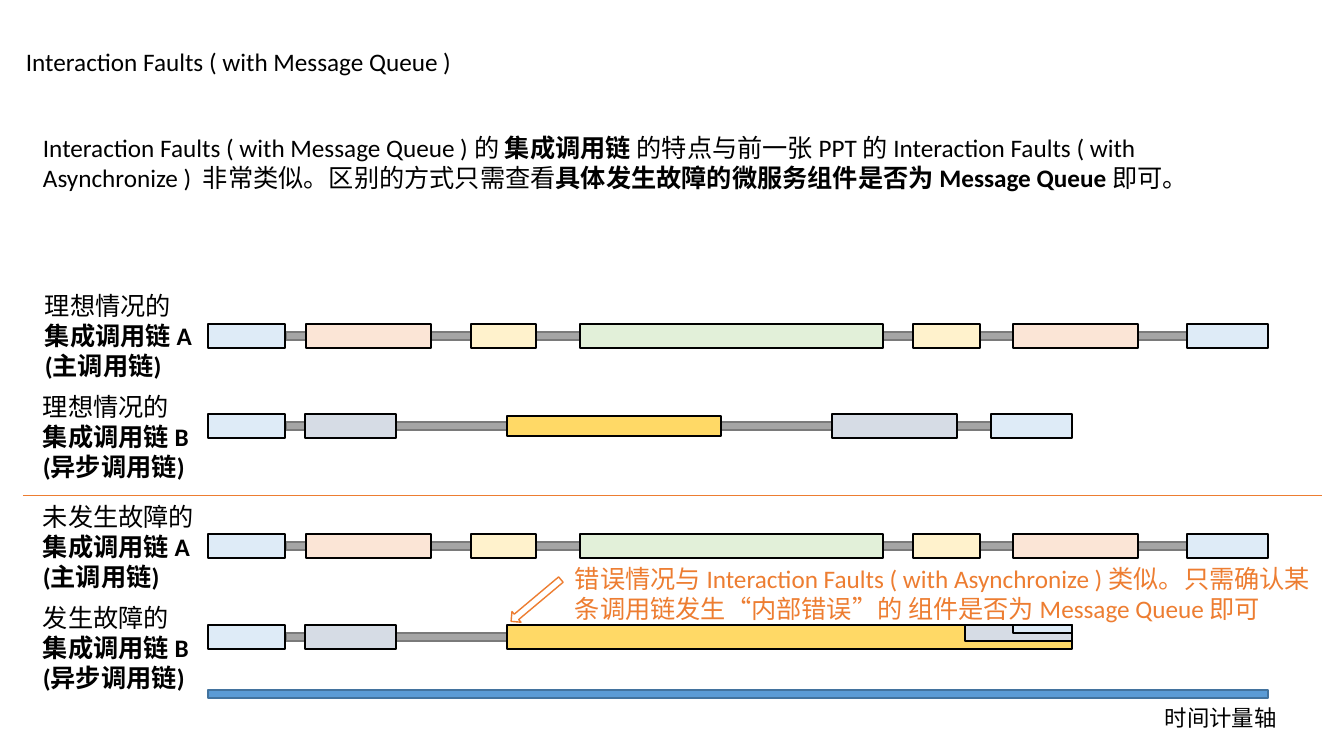
from dataclasses import dataclass

from lxml import etree
from pptx import Presentation
from pptx import util as u
from pptx.dml.color import RGBColor
from pptx.enum import shapes, text
from pptx.oxml.ns import qn

PX = 914400 / 100.8


def px(n):
    """Turn pixels into EMU."""
    return u.Emu(round(n * PX))


@dataclass(frozen=True)
class Theme:
    """Hold the colours, the font and the type sizes."""
    font: str = "Calibri"
    body: int = 18
    small: int = 16
    ink: str = "000000"
    accent: str = "ED7D31"
    axis: str = "5B9BD5"
    axis_line: str = "43739E"
    link: str = "A5A5A5"
    link_line: str = "7A7A7A"
    blue: str = "DEEBF7"
    pink: str = "FBE5D6"
    cream: str = "FFF2CC"
    green: str = "E2F0D9"
    slate: str = "D6DCE5"
    gold: str = "FFD966"


class Deck:
    """Draw styled elements on the current slide."""

    def __init__(self, prs, theme):
        """Add a blank slide and keep the theme."""
        self.theme = theme
        self.slide = prs.slides.add_slide(prs.slide_layouts[6])

    def shape(self, kind, box, fill, line, rotation=0):
        """Add an outlined preset shape, filled when a colour is given."""
        sp = self.slide.shapes.add_shape(kind, *map(px, box))
        sp.shadow.inherit = False
        sp.rotation = rotation
        if fill:
            sp.fill.solid()
            sp.fill.fore_color.rgb = RGBColor.from_string(fill)
        else:
            sp.fill.background()
        sp.line.color.rgb = RGBColor.from_string(line)
        sp.line.width = u.Pt(1)

    def bar(self, x, y, w, h, fill, line=None):
        """Add a rectangle."""
        self.shape(shapes.MSO_SHAPE.RECTANGLE, (x, y, w, h), fill, line or self.theme.ink)

    def rule(self, x1, y, x2):
        """Add a thin horizontal line."""
        line = self.slide.shapes.add_connector(
            shapes.MSO_CONNECTOR.STRAIGHT, px(x1), px(y), px(x2), px(y))
        line.line.color.rgb = RGBColor.from_string(self.theme.accent)
        line.line.width = u.Pt(0.5)
        etree.SubElement(line._element.spPr, qn("a:effectLst"))

    def text(self, box, paragraphs, size=None, color=None):
        """Add a text box from paragraphs of (words, bold) runs."""
        tf = self.slide.shapes.add_textbox(*map(px, box)).text_frame
        tf.word_wrap = True
        tf.auto_size = text.MSO_AUTO_SIZE.SHAPE_TO_FIT_TEXT
        for i, runs in enumerate(paragraphs):
            p = tf.add_paragraph() if i else tf.paragraphs[0]
            p.font.name = self.theme.font
            p.font.size = u.Pt(size or self.theme.body)
            p.font.color.rgb = RGBColor.from_string(color or self.theme.ink)
            weights = {bold for _, bold in runs}
            if len(weights) == 1:
                p.font.bold = weights.pop()
            for words, bold in runs:
                r = p.add_run()
                r.text = words
                if weights:
                    r.font.bold = bold

    def chain(self, y, link_width, blocks):
        """Add one call chain: a grey link with blocks on it."""
        self.bar(286, y + 8, link_width, 8, self.theme.link, self.theme.link_line)
        for x, dy, w, h, fill in blocks:
            self.bar(x, y + dy, w, h, fill)

    def label(self, x, y, state, name, role):
        """Add the three-line name of a call chain."""
        self.text((x, y, 174, 102),
                  [[(state, False)], [(f"集成调用链 {name}", True)], [(f"({role})", True)]])


theme = Theme()
prs = Presentation()
prs.slide_width, prs.slide_height = px(1344), px(756)
deck = Deck(prs, theme)

main_chain = [
    (208, 0, 77, 24, theme.blue), (306, 0, 125, 24, theme.pink),
    (471, 0, 65, 24, theme.cream), (580, 0, 303, 24, theme.green),
    (913, 0, 67, 24, theme.cream), (1013, 0, 125, 24, theme.pink),
    (1187, 0, 81, 24, theme.blue),
]
async_start = [(208, 0, 77, 24, theme.blue), (305, 0, 91, 24, theme.slate)]
ideal_async = async_start + [
    (832, 0, 125, 24, theme.slate), (991, 0, 81, 24, theme.blue),
    (507, 2, 214, 20, theme.gold),
]
faulty_async = async_start + [
    (507, 0, 565, 24, theme.gold), (965, 0, 107, 16, theme.slate),
    (1013, 0, 59, 8, theme.blue),
]
main, side = ("A", "主调用链"), ("B", "异步调用链")
rows = [
    (324, 903, main_chain, 35, 285, "理想情况的", main),
    (414, 705, ideal_async, 33, 386, "理想情况的", side),
    (534, 903, main_chain, 33, 496, "未发生故障的", main),
    (625, 705, faulty_async, 33, 597, "发生故障的", side),
]

deck.text((16, 41, 618, 72), [[("Interaction Faults ( with Message Queue )", False)]])
deck.text((33, 127, 1266, 102), [[
    ("Interaction Faults ( with Message Queue ) 的 ", False),
    ("集成调用链 ", True),
    ("的特点与前一张 PPT 的 Interaction Faults ( with Asynchronize )  非常类似。"
     "区别的方式只需查看", False),
    ("具体发生故障的微服务组件是否为 Message Queue ", True),
    ("即可。", False),
]])
deck.bar(208, 690, 1060, 8, theme.axis, theme.axis_line)
for y, link_width, blocks, label_x, label_y, state, names in rows:
    deck.chain(y, link_width, blocks)
    deck.label(label_x, label_y, state, *names)
deck.text((1155, 699, 145, 37), [[("时间计量轴", False)]], size=theme.small)
deck.rule(23, 495, 1322)
deck.shape(shapes.MSO_SHAPE.DOWN_ARROW, (529, 568, 14, 65), None, theme.accent, rotation=50)
deck.text((565, 558, 756, 72), [[
    ("错误情况与 Interaction Faults ( with Asynchronize ) 类似。只需确认"
     "某条调用链发生“内部错误”的 组件是否为 Message Queue 即可", False),
]], color=theme.accent)

prs.save("out.pptx")
